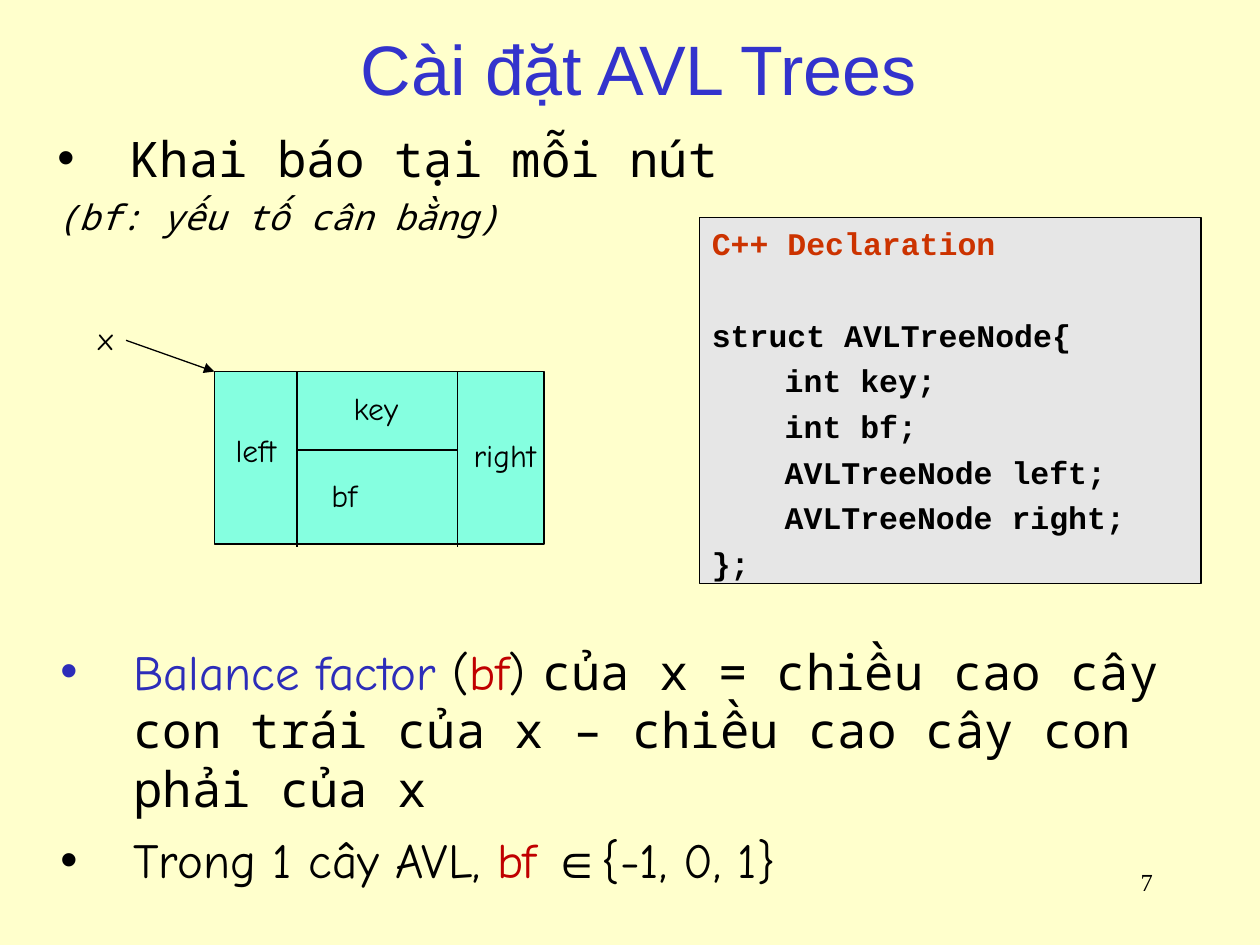
from lxml import etree
from pptx import Presentation
from pptx.dml.color import RGBColor
from pptx.enum.shapes import MSO_CONNECTOR, MSO_SHAPE
from pptx.enum.text import MSO_ANCHOR, MSO_AUTO_SIZE, PP_ALIGN
from pptx.oxml.ns import qn
from pptx.util import Cm, Pt

LINE = MSO_CONNECTOR.STRAIGHT
RECT = MSO_SHAPE.RECTANGLE
TOP, MIDDLE = MSO_ANCHOR.TOP, MSO_ANCHOR.MIDDLE
LEFT, CENTER, RIGHT = PP_ALIGN.LEFT, PP_ALIGN.CENTER, PP_ALIGN.RIGHT
FIT = MSO_AUTO_SIZE.SHAPE_TO_FIT_TEXT

CREAM = RGBColor(0xFF, 0xFF, 0xCC)
BLACK = RGBColor(0x00, 0x00, 0x00)
BLUE = RGBColor(0x33, 0x33, 0xCC)
NAVY = RGBColor(0x2D, 0x2D, 0xB9)
RED = RGBColor(0xC0, 0x00, 0x00)
RUST = RGBColor(0xCC, 0x33, 0x00)
MINT = RGBColor(0x85, 0xFF, 0xE0)
GREY = RGBColor(0xE6, 0xE6, 0xE6)

COMIC, MONO, CODE = "Comic Neue", "Noto Sans Mono", "Courier New"
INDENT = Cm(1.47)

# Node diagram: edges of the box and its inner lines, in cm
NODE_X, NODE_Y, NODE_W, NODE_H = 4.32, 7.49, 6.65, 3.48
COLS = (5.99, 9.22)
SPLIT_Y = 9.07
FOOT_Y = 11.02

# Labels: text, left, top, width, wrap
LABELS = [
    ("left", 4.5, 8.56, 1.32, False),
    ("right", 9.3, 8.66, 1.85, False),
    ("key", 6.88, 7.72, 1.42, False),
    ("bf", 6.43, 9.47, 2.51, True),
    ("x", 1.73, 6.3, 0.81, False),
]

CODE_LINES = [
    "struct AVLTreeNode{",
    "\tint key;",
    "\tint bf;",
    "\tAVLTreeNode left;",
    "\tAVLTreeNode right;",
    "};",
]


def add_run(par, text, size, face, color=BLACK, **extra):
    run = par.add_run()
    run.text = text
    style = {"size": Pt(size), "name": face, **extra}
    for key, value in style.items():
        setattr(run.font, key, value)
    run.font.color.rgb = color


def add_par(frame, runs, first=False, gap=0, hang=False, bullet=None, align=LEFT):
    """Write one paragraph; each run is (text, size, face, color, ...)."""
    par = frame.paragraphs[0] if first else frame.add_paragraph()
    props = par._p.get_or_add_pPr()
    if hang:
        props.set("marL", str(INDENT))
        props.set("indent", str(-INDENT))
    if bullet is not None:
        tint = etree.SubElement(props, qn("a:buClr"))
        etree.SubElement(tint, qn("a:srgbClr")).set("val", str(bullet))
        etree.SubElement(props, qn("a:buFont")).set("typeface", "Arial")
        etree.SubElement(props, qn("a:buChar")).set("char", "•")
    par.alignment = align
    par.space_before = Pt(gap)
    for text, size, face, color, *extra in runs:
        add_run(par, text, size, face, color, **(extra[0] if extra else {}))


def add_box(slide, x, y, w, h, wrap=True):
    box = slide.shapes.add_textbox(Cm(x), Cm(y), Cm(w), Cm(h))
    box.text_frame.word_wrap = wrap
    return box.text_frame


def add_rect(slide, x, y, w, h, color):
    rect = slide.shapes.add_shape(RECT, Cm(x), Cm(y), Cm(w), Cm(h))
    rect.shadow.inherit = False
    rect.fill.solid()
    rect.fill.fore_color.rgb = color
    rect.line.color.rgb = BLACK
    rect.line.width = Pt(0.75)
    return rect


def add_line(slide, x1, y1, x2, y2, arrow=False):
    line = slide.shapes.add_connector(LINE, Cm(x1), Cm(y1), Cm(x2), Cm(y2))
    line.line.color.rgb = BLACK
    line.line.width = Pt(0.75)
    props = line._element.spPr
    if arrow:
        etree.SubElement(props.find(qn("a:ln")), qn("a:tailEnd")).set("type", "triangle")
    etree.SubElement(props, qn("a:effectLst"))


def add_title(slide):
    title = slide.shapes.title
    place = {"left": Cm(0.76), "top": Cm(0.4), "width": Cm(24.23), "height": Cm(1.93)}
    for key, value in place.items():
        setattr(title, key, value)
    frame = title.text_frame
    frame.vertical_anchor = MIDDLE
    runs = [("Cài đặt AVL Trees", 40, "Arial", BLUE)]
    add_par(frame, runs, first=True, align=CENTER)


def add_node(slide):
    add_rect(slide, NODE_X, NODE_Y, NODE_W, NODE_H, MINT)
    for x in COLS:
        add_line(slide, x, NODE_Y, x, FOOT_Y)
    add_line(slide, COLS[0], SPLIT_Y, COLS[1], SPLIT_Y)
    add_line(slide, 2.54, 6.86, NODE_X, NODE_Y, arrow=True)
    for text, x, y, w, wrap in LABELS:
        frame = add_box(slide, x, y, w, 1.02, wrap)
        frame.auto_size = FIT
        add_par(frame, [(text, 18, COMIC, BLACK)], first=True)


def add_code(slide):
    frame = add_rect(slide, 14.1, 4.39, 10.11, 7.37, GREY).text_frame
    frame.word_wrap = True
    frame.vertical_anchor = TOP
    frame.margin_top = Cm(0.13)
    bold = {"bold": True}
    head = [("C++ Declaration", 18, CODE, RUST, bold)]
    add_par(frame, head, first=True, hang=True)
    for i, text in enumerate(CODE_LINES):
        # The struct stands one line below the heading
        gap = 4.5 if i else 30.6
        add_par(frame, [(text, 18, CODE, BLACK, bold)], gap=gap, hang=True)


def add_intro(slide):
    frame = add_box(slide, 0.91, 2.46, 23.32, 2.9)
    head = [("Khai báo tại mỗi nút", 28, MONO, BLACK)]
    add_par(frame, head, first=True, hang=True, bullet=BLACK)
    note = [("(bf: yếu tố cân bằng)", 20, MONO, BLACK, {"italic": True})]
    add_par(frame, note, gap=5, hang=True)


def add_facts(slide):
    frame = add_box(slide, 0.97, 12.8, 23.32, 5.51)
    factor = [
        ("Balance factor", 28, COMIC, NAVY),
        (" (", 28, COMIC, BLACK),
        ("bf", 28, COMIC, RED),
        (") ", 28, COMIC, BLACK),
        ("của x = chiều cao cây con trái của x – chiều cao cây con phải của x",
         28, MONO, BLACK),
    ]
    values = [
        ("Trong 1 cây AVL, ", 28, COMIC, BLACK),
        ("bf ", 28, COMIC, RED),
        ("∈", 28, "Arial", BLACK),
        ("{-1, 0, 1}", 28, COMIC, BLACK),
    ]
    add_par(frame, factor, first=True, hang=True, bullet=NAVY)
    add_par(frame, values, gap=7, hang=True, bullet=BLACK)


def add_number(slide):
    frame = add_box(slide, 18.21, 17.35, 5.28, 1.27)
    add_par(frame, [("7", 14, "Times New Roman", BLACK)], first=True, align=RIGHT)


def main():
    deck = Presentation()
    deck.slide_width, deck.slide_height = Cm(25.4), Cm(19.05)
    slide = deck.slides.add_slide(deck.slide_layouts[5])
    slide.background.fill.solid()
    slide.background.fill.fore_color.rgb = CREAM
    for add in (add_number, add_title, add_intro, add_node, add_facts, add_code):
        add(slide)
    deck.save("out.pptx")


if __name__ == "__main__":
    main()
